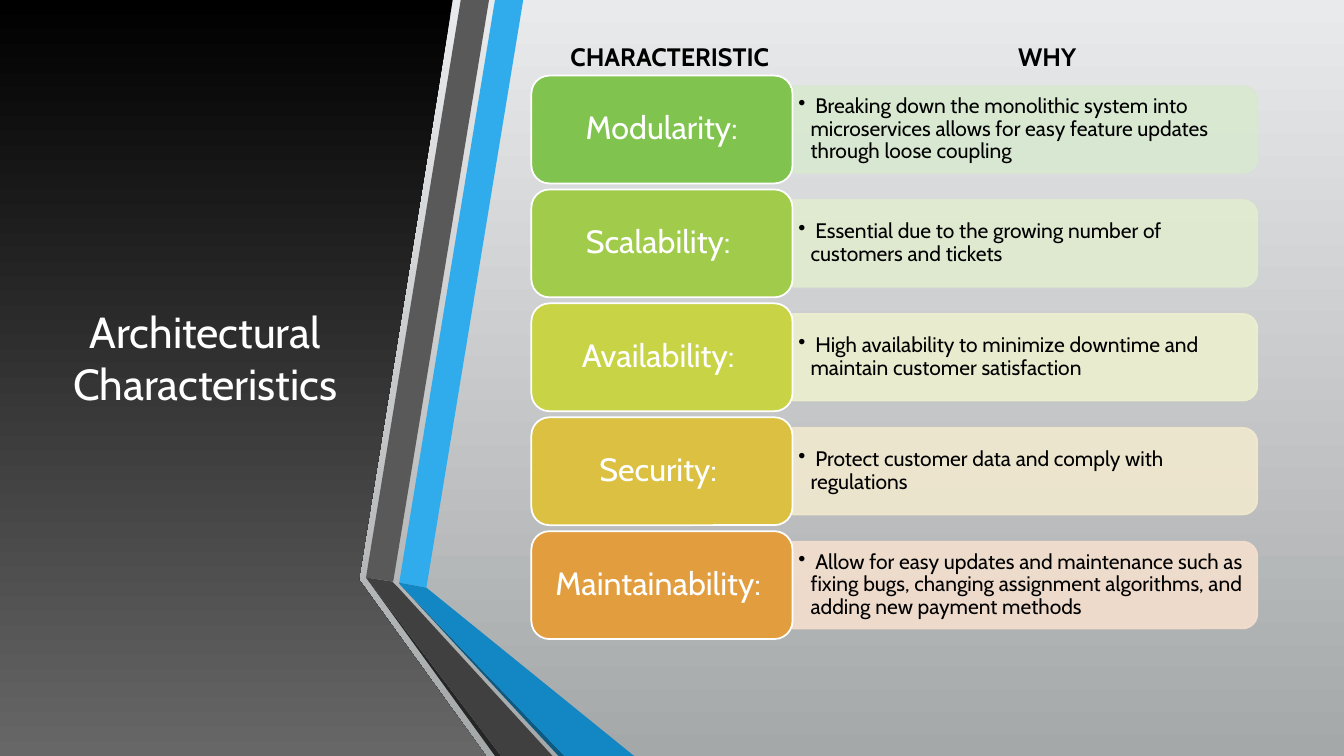
"""Build the architectural characteristics slide."""
from dataclasses import dataclass
from typing import Any

from lxml import etree
from pptx import Presentation
from pptx import util as u
from pptx.dml import color
from pptx.enum import shapes as s, text as t
from pptx.oxml import ns

FONT = "Cabin"
HUES = {
    "sky": "E9EAEB", "fog": "A5A8A9", "black": "000000", "coal": "676767",
    "white": "FFFFFF", "blue": "30ACEC", "sea": "1287C3", "navy": "0C5A82",
    "grey": "595959", "slate": "404040", "ink": "262626",
    "green": "80C34F", "mint": "D8E9D0", "lime": "A1CB4A", "leaf": "E1ECD0",
    "lemon": "C8D346", "cream": "EDEFCF", "gold": "DBC042", "sand": "F1E9CF",
    "orange": "E29D3E", "peach": "F4DFCE",
}
TOP, PITCH = 0.75, 1.13
LEFT, WIDTH, HEIGHT = 5.27, 2.59, 1.07
LONG, THICK = 4.61, 0.86
Point = tuple[float, float]


@dataclass
class Strip:
    hue: str
    points: list[Point]


@dataclass
class Trait:
    name: str
    why: str
    hue: str
    tint: str


STRIPS = [
    Strip("blue", [(3.96, 5.78), (4.23, 5.83), (5.19, 0), (4.91, 0)]),
    Strip("grey", [(4.85, 0), (4.57, 0), (3.63, 5.73), (3.9, 5.77)]),
    Strip("ink", [(3.63, 5.73), (4.91, 7.5), (4.97, 7.5)]),
    Strip("navy", [(3.96, 5.79), (5.54, 7.5), (5.6, 7.5)]),
    Strip("sea", [(3.96, 5.79), (5.6, 7.5), (6.29, 7.5), (4.23, 5.83), (3.96, 5.78)]),
    Strip("slate", [(5.48, 7.5), (3.95, 5.83), (3.89, 5.77), (3.63, 5.73), (4.97, 7.5)]),
]
PANEL: list[Point] = [(0, 0), (4.49, 0), (3.56, 5.75), (4.82, 7.5), (0, 7.5)]
TRAITS = [
    Trait("Modularity:", " Breaking down the monolithic system into microservices "
          "allows for easy feature updates through loose coupling", "green", "mint"),
    Trait("Scalability: ", " Essential due to the growing number of customers and tickets",
          "lime", "leaf"),
    Trait("Availability: ", " High availability to minimize downtime and maintain "
          "customer satisfaction", "lemon", "cream"),
    Trait("Security: ", " Protect customer data and comply with regulations",
          "gold", "sand"),
    Trait("Maintainability: ", " Allow for easy updates and maintenance such as fixing bugs, "
          "changing assignment algorithms, and adding new payment methods",
          "orange", "peach"),
]


def rgb(hue: str) -> color.RGBColor:
    return color.RGBColor.from_string(HUES[hue])


def apply(item: Any, form: dict[str, Any]) -> None:
    for key, value in form.items():
        setattr(item, key, value)


def blend(fill: Any, first: str, last: str) -> None:
    fill.gradient()
    fill.gradient_angle = 270
    for stop, hue, place in zip(fill.gradient_stops, (first, last), (0, 1)):
        stop.color.rgb = rgb(hue)
        stop.position = place


def paint(shape: Any, hue: str, edge: str) -> None:
    shape.shadow.inherit = False
    shape.fill.solid()
    shape.fill.fore_color.rgb = rgb(hue)
    shape.line.color.rgb = rgb(edge)
    shape.line.width = u.Pt(1.25)


def outline(slide: Any, points: list[Point]) -> Any:
    spots = [(u.Inches(x), u.Inches(y)) for x, y in points]
    pen = slide.shapes.build_freeform(*spots[0])
    pen.add_line_segments(spots[1:], close=True)
    shape = pen.convert_to_shape()
    shape.shadow.inherit = False
    shape.line.fill.background()
    return shape


def write(shape: Any, words: str, size: float, hue: str,
          para: dict[str, Any], frame: dict[str, Any]) -> Any:
    body = shape.text_frame
    apply(body, {"word_wrap": True, "vertical_anchor": t.MSO_ANCHOR.MIDDLE, **frame})
    line = body.paragraphs[0]
    apply(line, para)
    run = line.add_run()
    run.text = words
    apply(run.font, {"name": FONT, "size": u.Pt(size)})
    run.font.color.rgb = rgb(hue)
    return line


def box(slide: Any, *place: float) -> Any:
    return slide.shapes.add_textbox(*map(u.Inches, place))


def block(slide: Any, kind: Any, *place: float) -> Any:
    return slide.shapes.add_shape(kind, *map(u.Inches, place))


def draw_trait(slide: Any, trait: Trait, top: float) -> None:
    side, mid = LEFT + WIDTH, top + HEIGHT / 2
    bar = block(slide, s.MSO_SHAPE.ROUND_2_SAME_RECTANGLE,
                side + (LONG - THICK) / 2, mid - LONG / 2, THICK, LONG)
    bar.rotation = 90
    paint(bar, trait.tint, trait.tint)
    for tone in bar._element.spPr.iter(ns.qn("a:srgbClr")):
        etree.SubElement(tone, ns.qn("a:alpha"), val="90000")

    wide, slim = u.Inches(0.06), u.Inches(0.03)
    line = write(box(slide, side, mid - 0.385, 4.57, 0.77), trait.why, 15, "black",
                 {"level": 1, "line_spacing": 0.9},
                 {"margin_left": wide, "margin_right": wide,
                  "margin_top": slim, "margin_bottom": slim})
    props = line._p.get_or_add_pPr()
    props.set("marL", str(u.Inches(0.12)))
    props.set("indent", str(u.Inches(-0.12)))
    etree.SubElement(props, ns.qn("a:buChar"), char="•")

    label = block(slide, s.MSO_SHAPE.ROUNDED_RECTANGLE, LEFT, top, WIDTH, HEIGHT)
    paint(label, trait.hue, "white")
    write(label, trait.name, 23, "white",
          {"alignment": t.PP_ALIGN.CENTER, "line_spacing": 0.9}, {})


def draw_head(slide: Any) -> None:
    line = write(box(slide, 5.56, 0.36, 7.01, 0.4), "CHARACTERISTIC\tWHY", 18, "black",
                 {}, {"vertical_anchor": t.MSO_ANCHOR.TOP})
    line.runs[0].font.bold = True
    tabs = etree.SubElement(line._p.get_or_add_pPr(), ns.qn("a:tabLst"))
    etree.SubElement(tabs, ns.qn("a:tab"), pos=str(u.Inches(4.44)), algn="l")


def main() -> None:
    deck = Presentation()
    apply(deck, {"slide_width": u.Inches(13.33), "slide_height": u.Inches(7.5)})
    slide = deck.slides.add_slide(deck.slide_layouts[6])
    blend(slide.background.fill, "sky", "fog")
    blend(outline(slide, PANEL).fill, "black", "coal")
    write(box(slide, 0.59, 0.75, 2.89, 5.58), "Architectural Characteristics", 31, "white",
          {"alignment": t.PP_ALIGN.CENTER}, {})
    for strip in STRIPS:
        fill = outline(slide, strip.points).fill
        fill.solid()
        fill.fore_color.rgb = rgb(strip.hue)
    for row, trait in enumerate(TRAITS):
        draw_trait(slide, trait, TOP + row * PITCH)
    draw_head(slide)
    deck.save("out.pptx")


if __name__ == "__main__":
    main()
